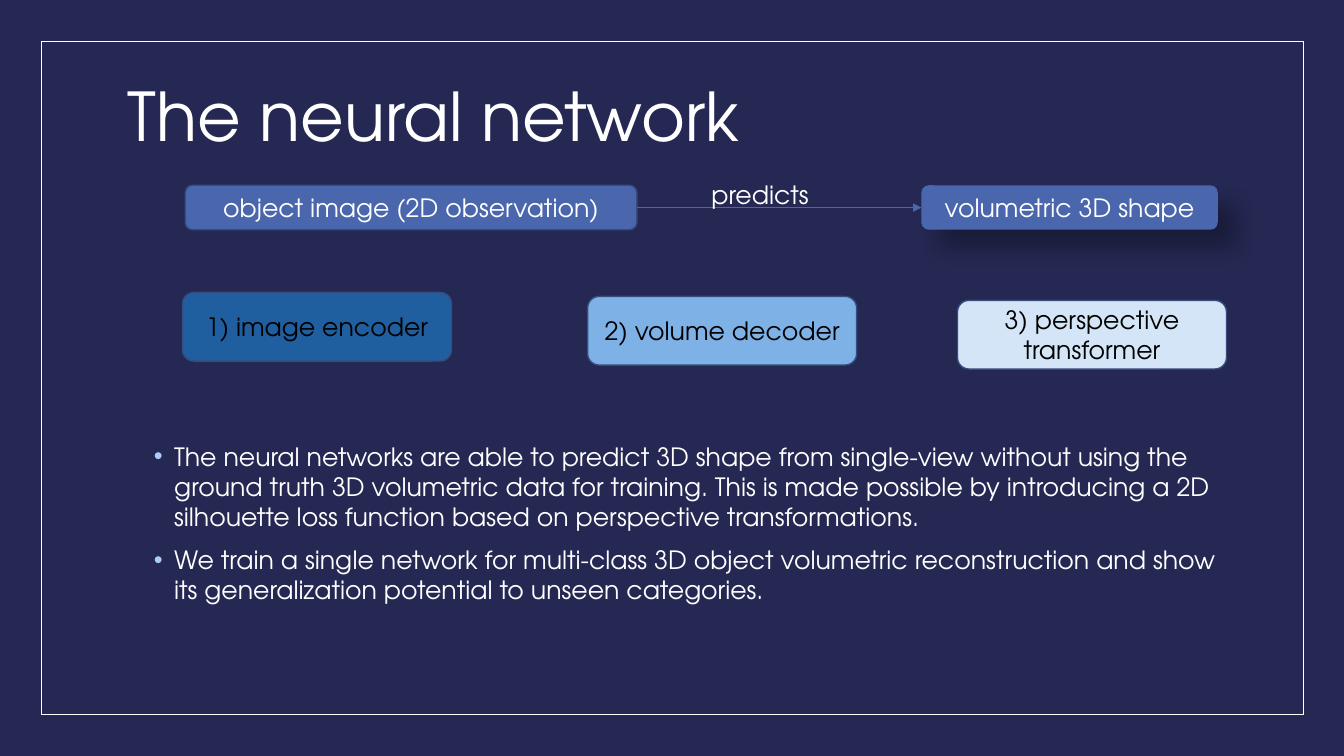
from lxml import etree
from pptx import Presentation
from pptx.dml.color import RGBColor
from pptx.enum.shapes import MSO_CONNECTOR as Connector, MSO_SHAPE as Shape
from pptx.enum.text import MSO_ANCHOR as Anchor, PP_ALIGN as Align
from pptx.oxml import parse_xml
from pptx.oxml.ns import nsdecls, qn
from pptx.util import Cm, Pt

FONT = "TeX Gyre Adventor"
NAVY = RGBColor(0x24, 0x28, 0x52)
WHITE = RGBColor(0xFF, 0xFF, 0xFF)
BLACK = RGBColor(0x00, 0x00, 0x00)
BLUE = RGBColor(0x4A, 0x66, 0xAC)
OUTLINE = RGBColor(0x37, 0x4B, 0x7F)
DEEP_BLUE = RGBColor(0x1F, 0x5F, 0xA0)
SKY_BLUE = RGBColor(0x7E, 0xB2, 0xE6)
PALE_BLUE = RGBColor(0xD4, 0xE5, 0xF7)
BULLET_BLUE = RGBColor(0xAC, 0xCB, 0xF9)

MODULES = [
    ("1) image encoder", DEEP_BLUE, 0, 0),
    ("2) volume decoder", SKY_BLUE, 10.21, 0.1),
    ("3) perspective transformer", PALE_BLUE, 19.53, 0.2),
]
FINDINGS = [
    "The neural networks are able to predict 3D shape from single-view without "
    "using the ground truth 3D volumetric data for training. This is made possible "
    "by introducing a 2D silhouette loss function based on perspective transformations.",
    "We train a single network for multi-class 3D object volumetric reconstruction "
    "and show its generalization potential to unseen categories.",
]


def format_runs(paragraph, color=WHITE, size=18):
    for run in paragraph.runs:
        run.font.name = FONT
        run.font.size = Pt(size)
        run.font.color.rgb = color


def add_text(slide, text, left, top, width, height, size=18, wrap=True):
    box = slide.shapes.add_textbox(Cm(left), Cm(top), Cm(width), Cm(height))
    box.text_frame.word_wrap = wrap
    box.text_frame.text = text
    for paragraph in box.text_frame.paragraphs:
        format_runs(paragraph, size=size)
    return box


def add_block(slide, text, fill, left, top, width, height, color=WHITE, outline=OUTLINE):
    block = slide.shapes.add_shape(
        Shape.ROUNDED_RECTANGLE, Cm(left), Cm(top), Cm(width), Cm(height))
    block.shadow.inherit = False
    block.fill.solid()
    block.fill.fore_color.rgb = fill
    if outline is None:
        block.line.fill.background()
    else:
        block.line.color.rgb = outline
        block.line.width = Pt(1)
    frame = block.text_frame
    frame.word_wrap = True
    frame.vertical_anchor = Anchor.MIDDLE
    frame.text = text
    frame.paragraphs[0].alignment = Align.CENTER
    format_runs(frame.paragraphs[0], color)
    return block


def add_drop_shadow(shape):
    effects = shape._element.spPr.find(qn("a:effectLst"))
    effects.append(parse_xml(
        f'<a:outerShdw {nsdecls("a")} blurRad="{Pt(15)}" dist="{Pt(18)}" dir="2700000" '
        f'algn="ctr" rotWithShape="0"><a:srgbClr val="{BLACK}">'
        '<a:alpha val="30000"/></a:srgbClr></a:outerShdw>'))


def add_arrow(slide, start, end, y):
    arrow = slide.shapes.add_connector(
        Connector.STRAIGHT, Cm(start), Cm(y), Cm(end), Cm(y))
    arrow.line.color.rgb = BLUE
    arrow.line.width = Pt(1)
    etree.SubElement(arrow.line._get_or_add_ln(), qn("a:tailEnd"), type="triangle")
    etree.SubElement(arrow._element.spPr, qn("a:effectLst"))


def add_bullet(paragraph):
    properties = paragraph._p.get_or_add_pPr()
    properties.set("marL", str(Cm(0.51)))
    properties.set("indent", str(-Cm(0.51)))
    bullet_color = etree.SubElement(properties, qn("a:buClr"))
    etree.SubElement(bullet_color, qn("a:srgbClr"), val=str(BULLET_BLUE))
    etree.SubElement(properties, qn("a:buFont"), typeface="Arial")
    etree.SubElement(properties, qn("a:buChar"), char="•")


def draw_frame(slide, left, top, width, height):
    slide.background.fill.solid()
    slide.background.fill.fore_color.rgb = NAVY
    frame = slide.shapes.add_shape(
        Shape.RECTANGLE, Cm(left), Cm(top), Cm(width), Cm(height))
    frame.shadow.inherit = False
    frame.fill.background()
    frame.line.color.rgb = WHITE
    frame.line.width = Pt(0.5)


def draw_title(slide, left, top, width, height):
    title = add_text(slide, "The neural network", left, top, width, height, size=48)
    title.text_frame.vertical_anchor = Anchor.MIDDLE
    title.text_frame.paragraphs[0].line_spacing = 0.9


def draw_prediction(slide, left, top, width, height):
    input_width, output_width = 11.38, 7.47
    input_right = left + input_width
    output_left = left + width - output_width
    add_block(slide, "object image (2D observation)", BLUE, left, top, input_width, height)
    output = add_block(slide, "volumetric 3D shape", BLUE, output_left, top,
                       output_width, height, outline=None)
    add_drop_shadow(output)
    add_arrow(slide, input_right, output_left, top + height / 2)
    add_text(slide, "predicts", input_right + 1.63, top - 0.28, 3.02, 1.02, wrap=False)


def draw_modules(slide, left, top, width, height):
    for text, fill, across, down in MODULES:
        add_block(slide, text, fill, left + across, top + down, width, height, BLACK)


def draw_findings(slide, left, top, width, height):
    box = add_text(slide, "\n".join(FINDINGS), left, top, width, height)
    for index, paragraph in enumerate(box.text_frame.paragraphs):
        if index:
            paragraph.space_before = Pt(9)
        add_bullet(paragraph)


def main():
    presentation = Presentation()
    presentation.slide_width = Cm(33.87)
    presentation.slide_height = Cm(19.05)
    slide = presentation.slides.add_slide(presentation.slide_layouts[6])
    draw_frame(slide, 1.04, 1.04, 31.8, 16.97)
    draw_title(slide, 2.97, 1.78, 27.94, 2.46)
    draw_findings(slide, 3.63, 10.99, 27.94, 5.52)
    draw_prediction(slide, 4.67, 4.67, 26.02, 1.12)
    draw_modules(slide, 4.6, 7.37, 6.78, 1.73)
    presentation.save("out.pptx")


if __name__ == "__main__":
    main()
